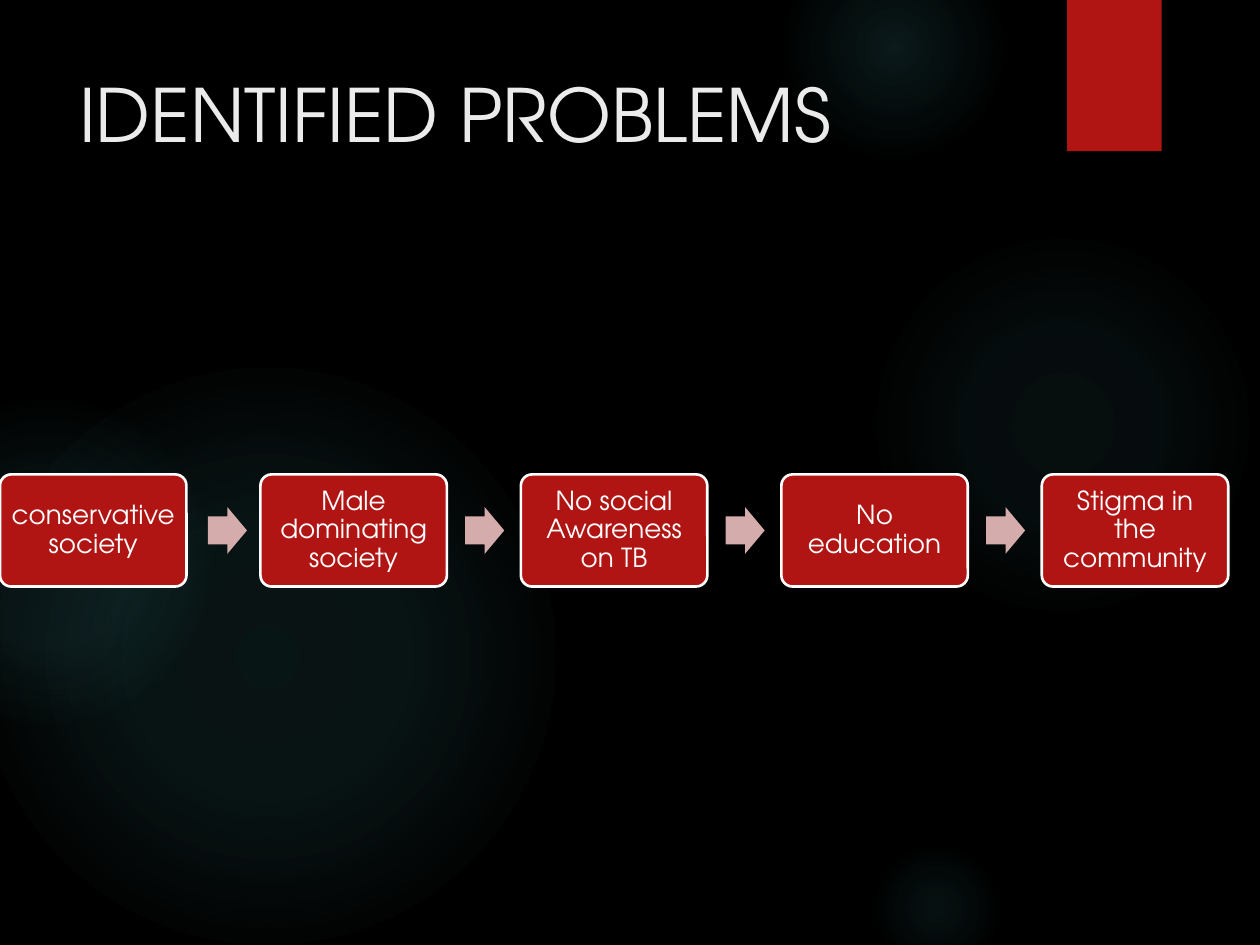
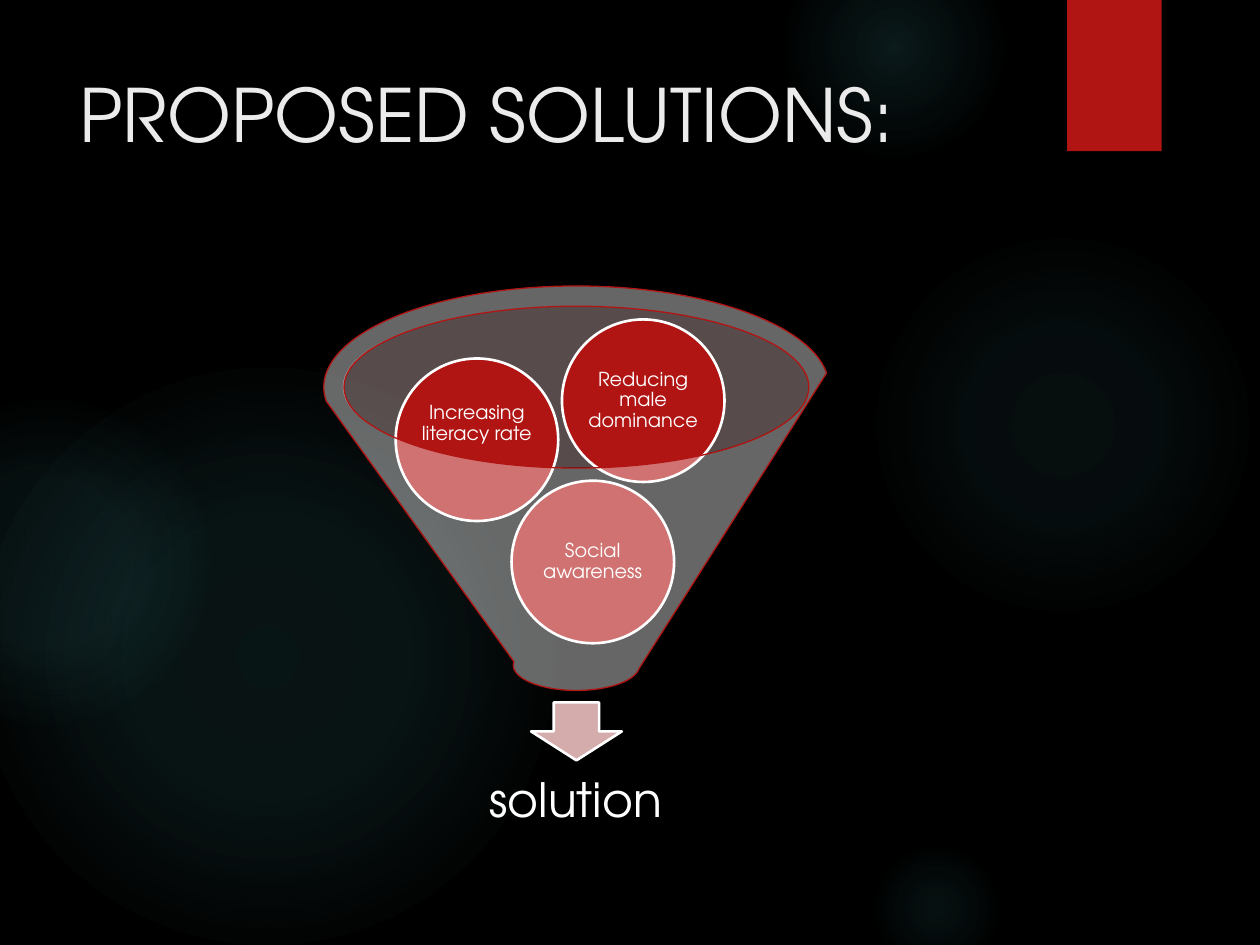
from pptx import Presentation
from pptx.dml.color import RGBColor
from pptx.enum.shapes import MSO_SHAPE
from pptx.enum.text import MSO_ANCHOR, PP_ALIGN
from pptx.oxml import parse_xml
from pptx.oxml.ns import nsdecls
from pptx.util import Inches, Pt
from lxml import etree

ELLIPSE, RECTANGLE = MSO_SHAPE.OVAL, MSO_SHAPE.RECTANGLE
ROUNDED, FUNNEL = MSO_SHAPE.ROUNDED_RECTANGLE, MSO_SHAPE.FUNNEL
RIGHT_ARROW, DOWN_ARROW = MSO_SHAPE.RIGHT_ARROW, MSO_SHAPE.DOWN_ARROW
TOP, MIDDLE = MSO_ANCHOR.TOP, MSO_ANCHOR.MIDDLE
LEFT, CENTER = PP_ALIGN.LEFT, PP_ALIGN.CENTER

COLORS = {
    "background": "000000",
    "glow": "50B9C1",
    "accent": "B01513",
    "arrow": "D4ACAB",
    "mouth": "DCBDBD",
    "title": "EBEBEB",
    "white": "FFFFFF",
}
FONT = "TeX Gyre Adventor"

# The slide is a grid of 100 columns by 75 rows of square cells
COLUMNS, ROWS = 100, 75
CELL = Inches(0.1)

# Glows: left, top, diameter, then (position %, opacity %) stops
GLOWS = [
    (68.9, 18.3, 30.8, [(0, 7), (36, 6), (69, 0)]),
    (62.2, -5, 17.5, [(0, 14), (36, 7), (73, 0)]),
    (68.9, 66.7, 10.8, [(0, 9), (36, 5), (66, 0)]),
    (-1.7, 29.2, 45.8, [(0, 11), (36, 10), (75, 0)]),
    (-9.2, 31.7, 25.8, [(0, 8), (36, 8), (72, 0)]),
]

PROBLEMS = [
    "conservative society",
    "Male dominating society",
    "No social Awareness on TB",
    "No education",
    "Stigma in the community",
]

# Solutions: text, left and top of each ball, bottom margin (inches)
# that keeps the text clear of the funnel's rim
SOLUTIONS = [
    ("Social awareness", 40.6, 38.15, 0),
    ("Increasing literacy rate", 31.4, 28.45, 0.26),
    ("Reducing male dominance", 44.6, 25.35, 0),
]


def rgb(name):
    return RGBColor.from_string(COLORS[name])


def cells(*counts):
    return [round(count * CELL) for count in counts]


def add_figure(slide, kind, area, fill=None, line=None, width=1.5, opacity=None):
    figure = slide.shapes.add_shape(kind, *cells(*area))
    figure.shadow.inherit = False
    if fill:
        figure.fill.solid()
        figure.fill.fore_color.rgb = rgb(fill)
    else:
        figure.fill.background()
    if opacity:
        color = figure.element.spPr.find(".//{*}solidFill/{*}srgbClr")
        etree.SubElement(color, color.tag.replace("srgbClr", "alpha"),
                         val=str(opacity * 1000))
    if line:
        figure.line.color.rgb = rgb(line)
        figure.line.width = Pt(width)
    else:
        figure.line.fill.background()
    return figure


def write(shape, text, size, color="white", align=CENTER, anchor=MIDDLE,
          margins=(0.1, 0.05), spacing=0.9):
    frame = shape.text_frame
    frame.text = text
    frame.word_wrap = True
    frame.vertical_anchor = anchor
    frame.margin_left = frame.margin_right = Inches(margins[0])
    frame.margin_top = frame.margin_bottom = Inches(margins[1])
    paragraph = frame.paragraphs[0]
    paragraph.alignment = align
    paragraph.line_spacing = spacing
    font = paragraph.runs[0].font
    font.name, font.size, font.color.rgb = FONT, Pt(size), rgb(color)


def add_glow(slide, left, top, diameter, stops):
    glow = add_figure(slide, ELLIPSE, (left, top, diameter, diameter))
    stop_xml = "".join(
        f'<a:gs pos="{position * 1000}"><a:srgbClr val="{COLORS["glow"]}">'
        f'<a:alpha val="{opacity * 1000}"/></a:srgbClr></a:gs>'
        for position, opacity in stops)
    gradient = parse_xml(
        f'<a:gradFill {nsdecls("a")} rotWithShape="1"><a:gsLst>{stop_xml}</a:gsLst>'
        '<a:path path="circle"><a:fillToRect l="50000" t="50000" r="50000" b="50000"/>'
        '</a:path></a:gradFill>')
    properties = glow.element.spPr
    properties.replace(properties.find("{*}noFill"), gradient)


def add_themed_slide(deck, heading):
    slide = deck.slides.add_slide(deck.slide_layouts.get_by_name("Title Only"))
    slide.background.fill.solid()
    slide.background.fill.fore_color.rgb = rgb("background")
    for glow in GLOWS:
        add_glow(slide, *glow)
    add_figure(slide, RECTANGLE, (84.7, 0, 7.5, 12), "accent")

    # The title lies in front of the backdrop
    title = slide.shapes.title
    title.left, title.top, title.width, title.height = cells(5.3, 5, 77.2, 15.3)
    write(title, heading, 42, "title", LEFT, TOP, spacing=1.0)
    slide.shapes.element.append(title.element)
    return slide


def add_problem_chain(slide):
    step, width, height, top = 20.67, 14.8, 8.9, 37.65
    arrow_width, arrow_height = 3.1, 3.7
    for index, problem in enumerate(PROBLEMS):
        left = index * step
        box = add_figure(slide, ROUNDED, (left, top, width, height), "accent", "white")
        box.adjustments[0] = 0.1
        write(box, problem, 15, margins=(0.06, 0.06))
        if index < len(PROBLEMS) - 1:
            arrow_left = left + (16.5 if index == 0 else 16.25)
            arrow_top = top + (height - arrow_height) / 2
            arrow = add_figure(slide, RIGHT_ARROW,
                               (arrow_left, arrow_top, arrow_width, arrow_height), "arrow")
            arrow.adjustments[0] = 0.6


def add_solution_funnel(slide):
    ball = 12.9
    add_figure(slide, ELLIPSE, (27.2, 24.3, 37, 12.8), "mouth", opacity=40)
    add_figure(slide, DOWN_ARROW, (42.15, 55.75, 7.2, 4.6), "arrow", "white")
    outcome = slide.shapes.add_textbox(*cells(28.5, 59.4, 34.4, 8.6))
    write(outcome, "solution", 27, margins=(0.21, 0.21))
    for solution, left, top, bottom_margin in SOLUTIONS:
        circle = add_figure(slide, ELLIPSE, (left, top, ball, ball), "accent", "white")
        write(circle, solution, 11, margins=(0, 0))
        circle.text_frame.margin_bottom = Inches(bottom_margin)
    add_figure(slide, FUNNEL, (25.7, 22.7, 40.1, 32.1), "white", "accent", 0.75, 40)


def main():
    deck = Presentation()
    deck.slide_width, deck.slide_height = cells(COLUMNS, ROWS)
    add_problem_chain(add_themed_slide(deck, "IDENTIFIED PROBLEMS"))
    add_solution_funnel(add_themed_slide(deck, "PROPOSED SOLUTIONS:"))
    deck.save("out.pptx")


if __name__ == "__main__":
    main()
